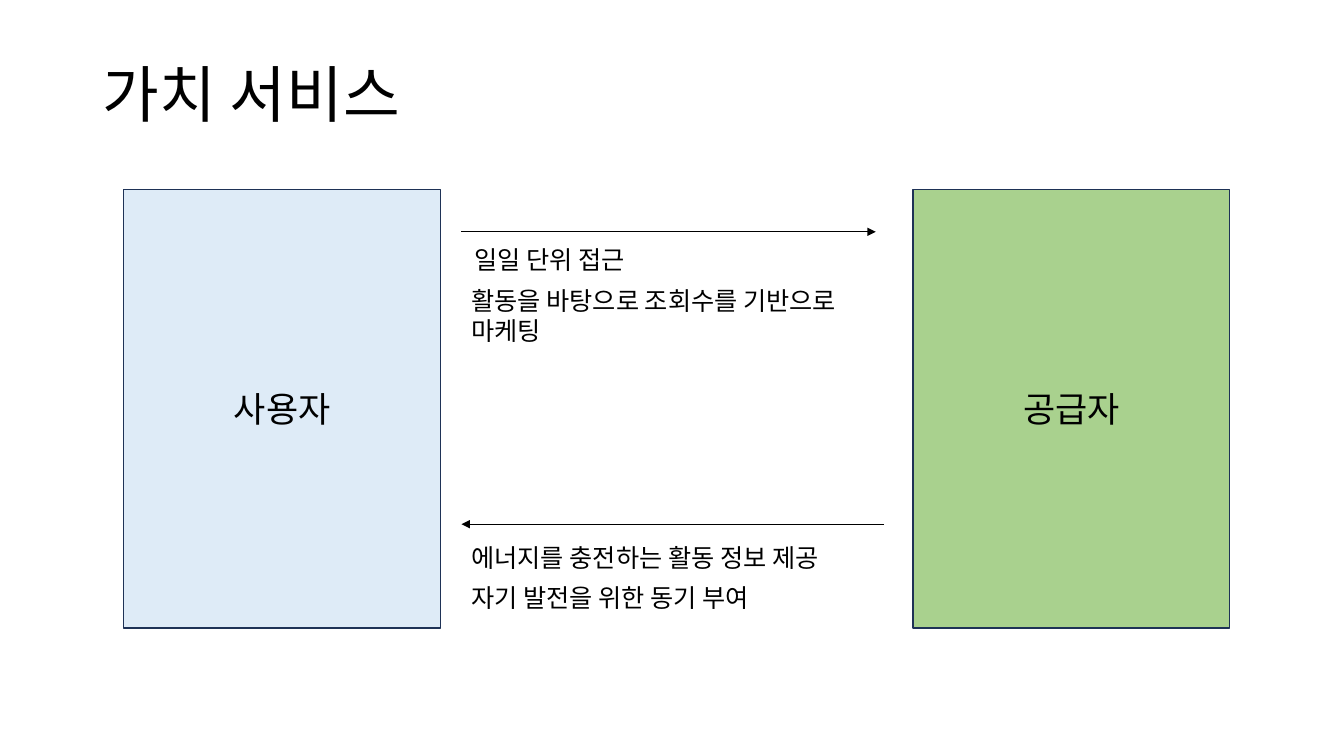
import pptx
import pptx.util
import pptx.dml.color
import pptx.enum.shapes
import pptx.enum.text
import pptx.oxml
import pptx.oxml.ns

Cm = pptx.util.Cm
Pt = pptx.util.Pt
Shape = pptx.enum.shapes.MSO_SHAPE
Link = pptx.enum.shapes.MSO_CONNECTOR
Align = pptx.enum.text.PP_ALIGN
Anchor = pptx.enum.text.MSO_ANCHOR
Fit = pptx.enum.text.MSO_AUTO_SIZE

FONT = "Noto Sans CJK KR"
COLORS = {"ink": "000000", "edge": "1E3256", "user": "DEEBF7", "maker": "A9D18E"}


def color(name):
    return pptx.dml.color.RGBColor.from_string(COLORS[name])


def node(parent, tag, **attrs):
    item = pptx.oxml.parse_xml(f"<a:{tag} {pptx.oxml.ns.nsdecls('a')}/>")
    for key, value in attrs.items():
        item.set(key, value)
    parent.append(item)


def write(frame, text, size, anchor=Anchor.TOP):
    frame.word_wrap = True
    frame.vertical_anchor = anchor
    para = frame.paragraphs[0]
    para.text = text
    font = para.font
    font.size = Pt(size)
    font.name = FONT
    font.color.rgb = color("ink")
    node(para._p.xpath("a:pPr/a:defRPr")[0], "ea", typeface=FONT)
    return para


def title(slide, box, text):
    frame = slide.shapes.add_textbox(*map(Cm, box)).text_frame
    write(frame, text, 44, Anchor.BOTTOM).line_spacing = 0.9


def party(slide, box, text, fill):
    shape = slide.shapes.add_shape(Shape.RECTANGLE, *map(Cm, box))
    shape.shadow.inherit = False
    shape.fill.solid()
    shape.fill.fore_color.rgb = color(fill)
    shape.line.color.rgb = color("edge")
    shape.line.width = Pt(1)
    write(shape.text_frame, text, 25, Anchor.MIDDLE).alignment = Align.CENTER


def arrow(slide, start, end, y):
    line = slide.shapes.add_connector(Link.STRAIGHT, Cm(start), Cm(y), Cm(end), Cm(y))
    line.line.color.rgb = color("ink")
    line.line.width = Pt(0.5)
    node(line.line._get_or_add_ln(), "tailEnd", type="triangle")
    node(line._element.spPr, "effectLst")


def flow(slide, box, ends, gap, notes):
    left, top, width, row = box
    arrow(slide, left + ends[0], left + ends[1], top)
    for index, (text, shift, lines) in enumerate(notes):
        place = (left + shift, top + gap + index * row, width, row * lines)
        frame = slide.shapes.add_textbox(*map(Cm, place)).text_frame
        frame.auto_size = Fit.SHAPE_TO_FIT_TEXT
        write(frame, text, 18)


def main():
    deck = pptx.Presentation()
    deck.slide_width = Cm(33.87)
    deck.slide_height = Cm(19.05)
    slide = deck.slides.add_slide(deck.slide_layouts[6])
    title(slide, (2.34, 1.02, 29.21, 2.41), "가치 서비스")
    party(slide, (3.12, 4.78, 7.98, 11.05), "사용자", "user")
    party(slide, (23.01, 4.78, 7.98, 11.05), "공급자", "maker")
    flow(slide, (11.63, 5.84, 10.85, 1.02), (0, 10.44), 0.2, [
        ("일일 단위 접근", 0.08, 1),
        ("활동을 바탕으로 조회수를 기반으로 마케팅", 0, 1.77),
    ])
    flow(slide, (11.63, 13.21, 10.85, 1.02), (10.65, 0), 0.33, [
        ("에너지를 충전하는 활동 정보 제공", 0, 1),
        ("자기 발전을 위한 동기 부여", 0, 1),
    ])
    deck.save("out.pptx")


if __name__ == "__main__":
    main()
